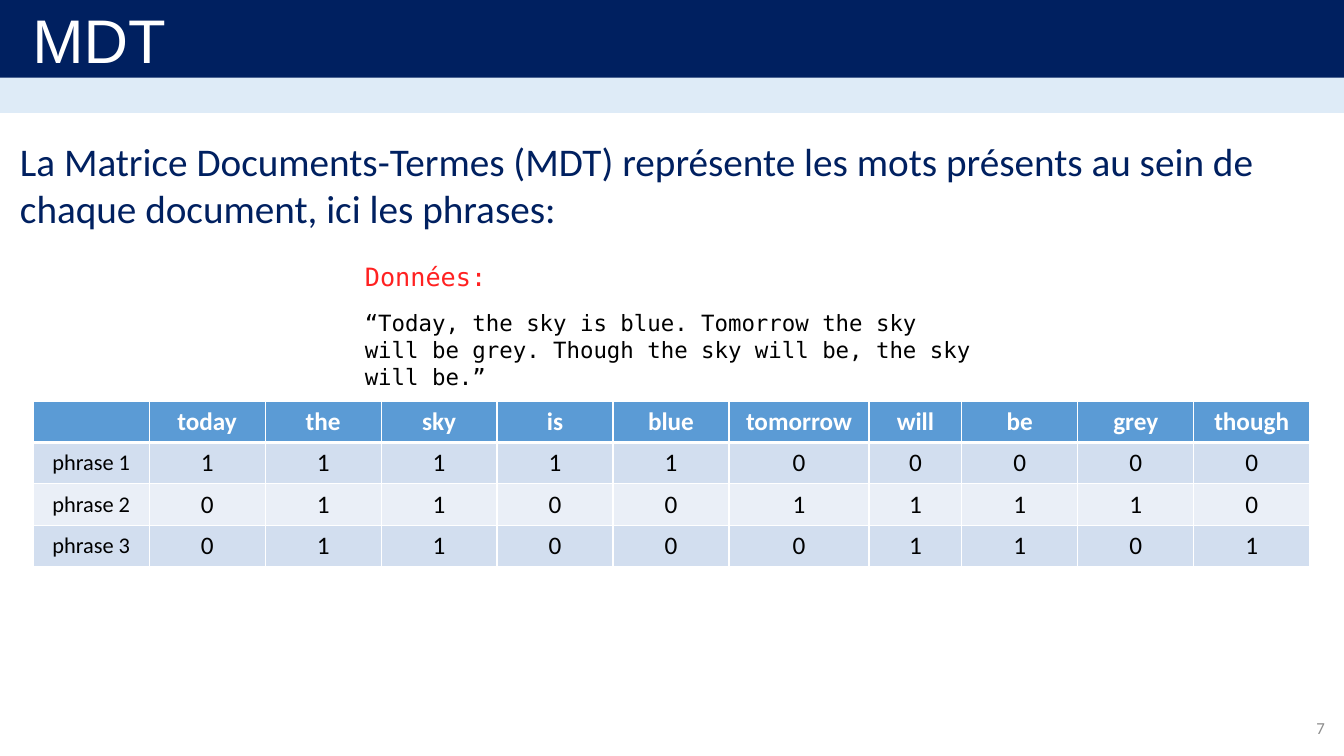
from pptx import Presentation
from pptx.dml.color import RGBColor as RGB
from pptx.enum.shapes import MSO_SHAPE as SHAPE
from pptx.enum.text import MSO_ANCHOR as ANCHOR, MSO_AUTO_SIZE as AUTO, PP_ALIGN as ALIGN
from pptx.oxml.ns import qn
from pptx.util import Inches, Pt
from lxml import etree

COLORS = {
    "navy": "002060", "pale": "DEEBF7", "white": "FFFFFF", "black": "000000",
    "red": "FF2121", "gray": "8C8C8C",
    "header": "5B9BD5", "band1": "D2DEEF", "band2": "EAEFF7",
}
MONO = "DejaVu Sans Mono"

TERMS = ["", "today", "the", "sky", "is", "blue", "tomorrow", "will", "be", "grey", "though"]
COUNTS = ["1111100000", "0110011110", "0110001101"]
ROWS = [TERMS] + [[f"phrase {i}", *counts] for i, counts in enumerate(COUNTS, 1)]
WIDTHS = {"tomorrow": 1.39, "will": 0.92}


class SlideBuilder:
    def __init__(self, prs):
        self.s = prs.slides.add_slide(prs.slide_layouts[5])

    def color(self, name):
        return RGB.from_string(COLORS[name])

    def add_run(self, p, text, size, color="black", font="Calibri", bold=False, align=ALIGN.LEFT):
        p.alignment = align
        r = p.add_run()
        r.text = text
        for key, value in {"size": Pt(size), "name": font, "bold": bold}.items():
            setattr(r.font, key, value)
        r.font.color.rgb = self.color(color)

    def frame(self, sp, anchor):
        tf = sp.text_frame
        settings = {"word_wrap": True, "auto_size": AUTO.NONE, "vertical_anchor": anchor}
        for key, value in settings.items():
            setattr(tf, key, value)
        return tf

    def bar(self, x, y, w, h, color):
        sp = self.s.shapes.add_shape(SHAPE.RECTANGLE, *map(Inches, (x, y, w, h)))
        sp.shadow.inherit = False
        sp.fill.solid()
        sp.fill.fore_color.rgb = self.color(color)
        sp.line.fill.background()

    def title(self, x, y, w, h, text):
        sp = self.s.shapes.title
        for key, value in zip(("left", "top", "width", "height"), (x, y, w, h)):
            setattr(sp, key, Inches(value))
        self.add_run(self.frame(sp, ANCHOR.MIDDLE).paragraphs[0], text, 44, "white", "Arial")
        # Bring the title in front of the banner
        self.s.shapes._spTree.append(sp._element)

    def text(self, x, y, w, h, paragraphs, anchor=ANCHOR.TOP, gap=0):
        sp = self.s.shapes.add_textbox(*map(Inches, (x, y, w, h)))
        tf = self.frame(sp, anchor)
        for i, style in enumerate(paragraphs):
            p = tf.add_paragraph() if i else tf.paragraphs[0]
            p.space_before = Pt(gap if i else 0)
            self.add_run(p, **style)

    def borders(self, cell, bottom):
        tc_pr = cell._tc.get_or_add_tcPr()
        widths = {"lnL": 1, "lnR": 1, "lnT": 1, "lnB": bottom}
        for i, (tag, width) in enumerate(widths.items()):
            ln = etree.Element(qn(f"a:{tag}"), w=str(Pt(width)))
            fill = etree.SubElement(ln, qn("a:solidFill"))
            etree.SubElement(fill, qn("a:srgbClr"), val=COLORS["white"])
            tc_pr.insert(i, ln)

    def table(self, x, y, rows, widths, row_height):
        size = (sum(widths), row_height * len(rows))
        table = self.s.shapes.add_table(
            len(rows), len(widths), *map(Inches, (x, y, *size))).table
        for column, width in zip(table.columns, widths):
            column.width = Inches(width)
        for i, row in enumerate(rows):
            table.rows[i].height = Inches(row_height)
            fill = "header" if i == 0 else "band1" if i % 2 else "band2"
            for j, text in enumerate(row):
                cell = table.cell(i, j)
                cell.vertical_anchor = ANCHOR.MIDDLE
                cell.fill.solid()
                cell.fill.fore_color.rgb = self.color(fill)
                self.borders(cell, bottom=1 if i else 3)
                if text:
                    self.add_run(cell.text_frame.paragraphs[0], text,
                                 size=16 if i and j == 0 else 18,
                                 color="black" if i else "white",
                                 bold=i == 0, align=ALIGN.CENTER)


def main():
    prs = Presentation()
    prs.slide_width, prs.slide_height = Inches(13.33), Inches(7.5)
    b = SlideBuilder(prs)

    # Slide number
    b.text(12.94, 7.02, 0.3, 0.4,
           [dict(text="7", size=12, color="gray", align=ALIGN.RIGHT)], ANCHOR.MIDDLE)

    # Banner and title
    b.bar(0, 0.76, 13.33, 0.36, "pale")
    b.bar(0, 0, 13.33, 0.77, "navy")
    b.title(0.22, -0.03, 13.33, 0.84, "MDT")

    # Introduction
    b.text(0.1, 1.31, 12.96, 1.04, [dict(
        text="La Matrice Documents-Termes (MDT) représente les mots présents "
             "au sein de chaque document, ici les phrases:",
        size=28, color="navy")])

    # Sample data
    b.text(3.52, 2.54, 6.29, 1.13, [
        dict(text="Données:", size=18, color="red", font=MONO),
        dict(text="“Today, the sky is blue. Tomorrow the sky will be grey. "
                  "Though the sky will be, the sky will be.”", size=16, font=MONO),
    ], gap=12.8)

    # Document-term matrix
    b.table(0.33, 3.98, ROWS, [WIDTHS.get(term, 1.15) for term in TERMS], 0.41)

    prs.save("out.pptx")


if __name__ == "__main__":
    main()
